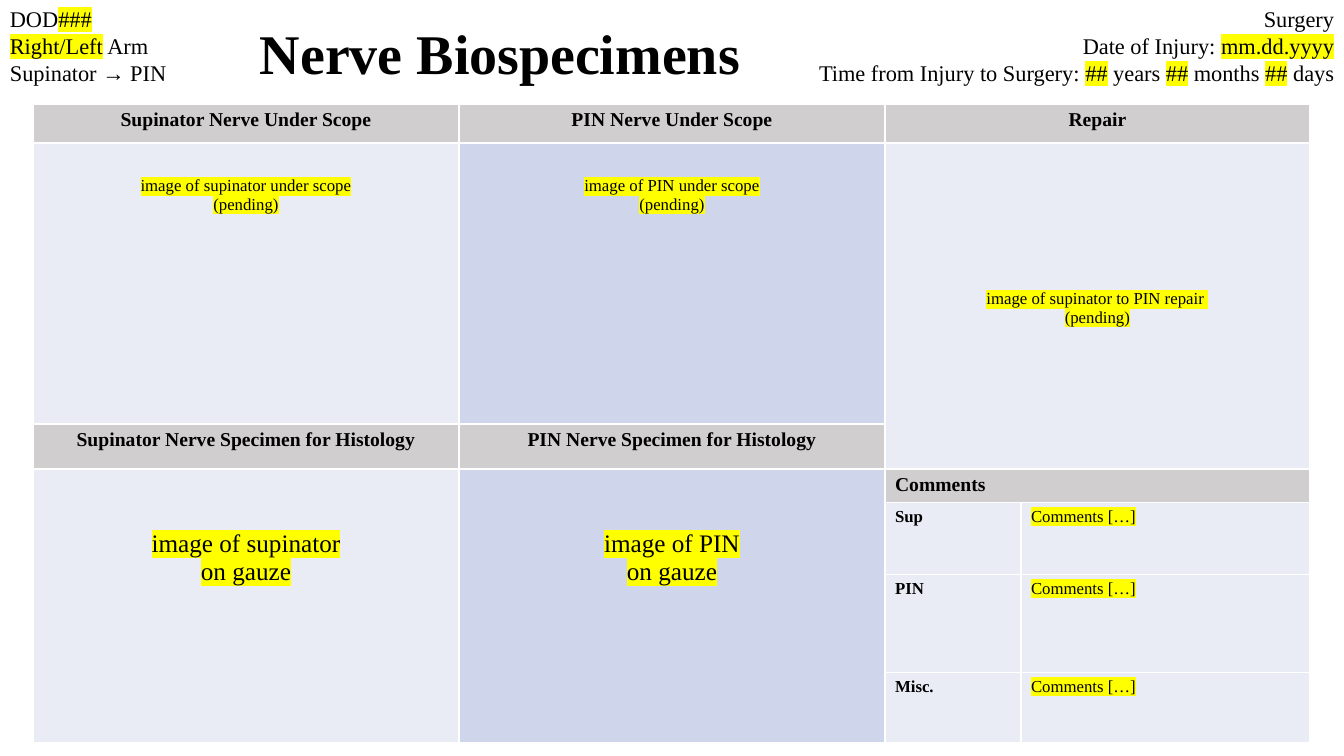
from lxml import etree
from pptx import Presentation
from pptx.dml.color import RGBColor
from pptx.enum.text import MSO_ANCHOR, PP_ALIGN
from pptx.oxml.ns import qn
from pptx.util import Emu, Pt

LEFT, CENTER, RIGHT = PP_ALIGN.LEFT, PP_ALIGN.CENTER, PP_ALIGN.RIGHT
TOP, MIDDLE = MSO_ANCHOR.TOP, MSO_ANCHOR.MIDDLE

PX_PER_INCH = 100.8
FONT = "Times New Roman"
BLACK = RGBColor(0x00, 0x00, 0x00)
YELLOW = RGBColor(0xFF, 0xFF, 0x00)
GREY = RGBColor(0xD0, 0xCE, 0xCE)
PALE = RGBColor(0xE9, 0xEB, 0xF5)
BLUE = RGBColor(0xCF, 0xD5, 0xEA)

COLUMNS = [426, 426, 136, 289]
ROWS = [39, 281, 45, 33, 72, 98, 70]
MERGES = [(0, 2, 0, 3), (1, 2, 2, 3), (3, 0, 6, 0), (3, 1, 6, 1), (3, 2, 3, 3)]

# row, column, text
HEADINGS = [
    (0, 0, "Supinator Nerve Under Scope"),
    (0, 1, "PIN Nerve Under Scope"),
    (0, 2, "Repair"),
    (2, 0, "Supinator Nerve Specimen for Histology"),
    (2, 1, "PIN Nerve Specimen for Histology"),
]
# row, column, lines, fill, size, top margin; text between bars is highlighted
IMAGE_NOTES = [
    (1, 0, ["|image of supinator under scope|", "|(pending)|"], PALE, 12, 34),
    (1, 1, ["|image of PIN under scope|", "|(pending)|"], BLUE, 12, 34),
    (1, 2, ["|image of supinator to PIN repair |", "|(pending)|"], PALE, 12, 147),
    (3, 0, ["|image of supinator|", "|on gauze|"], PALE, 18, 61),
    (3, 1, ["|image of PIN|", "|on gauze|"], BLUE, 18, 61),
]
COMMENT_LABELS = ["Sup", "PIN", "Misc."]


def px(n):
    return Emu(round(n * 914400 / PX_PER_INCH))


def highlight(r):
    """Put a yellow marker behind a run whose colour is already set."""
    mark = etree.Element(qn("a:highlight"))
    etree.SubElement(mark, qn("a:srgbClr")).set("val", str(YELLOW))
    r.font._element.find(qn("a:solidFill")).addnext(mark)


def write(tf, lines, size, align=LEFT, bold=False):
    """Fill a text frame; the parts between bars are highlighted."""
    for i, line in enumerate(lines):
        p = tf.paragraphs[0] if i == 0 else tf.add_paragraph()
        p.alignment = align
        for k, part in enumerate(line.split("|")):
            if not part:
                continue
            r = p.add_run()
            r.text = part
            r.font.size = Pt(size)
            r.font.bold = bold
            r.font.name = FONT
            r.font.color.rgb = BLACK
            if k % 2:
                highlight(r)


def add_text(slide, box, lines, size, align=LEFT, bold=False, anchor=TOP):
    sp = slide.shapes.add_textbox(*map(px, box))
    tf = sp.text_frame
    tf.word_wrap = True
    tf.vertical_anchor = anchor
    write(tf, lines, size, align, bold)


def fill_cell(cell, lines, fill, size, align=LEFT, bold=False, top=5):
    cell.fill.solid()
    cell.fill.fore_color.rgb = fill
    cell.margin_top = px(top)
    write(cell.text_frame, lines, size, align, bold)


def add_specimen_table(slide):
    frame = slide.shapes.add_table(len(ROWS), len(COLUMNS), px(33), px(104),
                                   px(sum(COLUMNS)), px(sum(ROWS)))
    table = frame.table
    for column, width in zip(table.columns, COLUMNS):
        column.width = px(width)
    for row, height in zip(table.rows, ROWS):
        row.height = px(height)
    for top, left, bottom, right in MERGES:
        table.cell(top, left).merge(table.cell(bottom, right))

    # Headings and image notes
    for row, col, text in HEADINGS:
        fill_cell(table.cell(row, col), [text], GREY, 14, CENTER, True)
    for row, col, lines, fill, size, top in IMAGE_NOTES:
        fill_cell(table.cell(row, col), lines, fill, size, CENTER, top=top)

    # Comments
    fill_cell(table.cell(3, 2), ["Comments"], GREY, 14, bold=True)
    for row, label in enumerate(COMMENT_LABELS, start=4):
        fill_cell(table.cell(row, 2), [label], PALE, 12, bold=True)
        fill_cell(table.cell(row, 3), ["|Comments […]|"], PALE, 12)


def main():
    prs = Presentation()
    prs.slide_width, prs.slide_height = px(1344), px(756)
    slide = prs.slides.add_slide(prs.slide_layouts[6])

    # Title and case details
    add_text(slide, (0, 13, 1000, 78), ["Nerve Biospecimens"], 40, CENTER, True, MIDDLE)
    add_text(slide, (0, 0, 319, 92),
             ["DOD|###|", "|Right/Left| Arm", "Supinator → PIN"], 16)
    add_text(slide, (799, 0, 545, 92),
             ["Surgery", "Date of Injury: |mm.dd.yyyy|",
              "Time from Injury to Surgery: |##| years |##| months |##| days"], 16, RIGHT)

    add_specimen_table(slide)
    prs.save("out.pptx")


if __name__ == "__main__":
    main()
